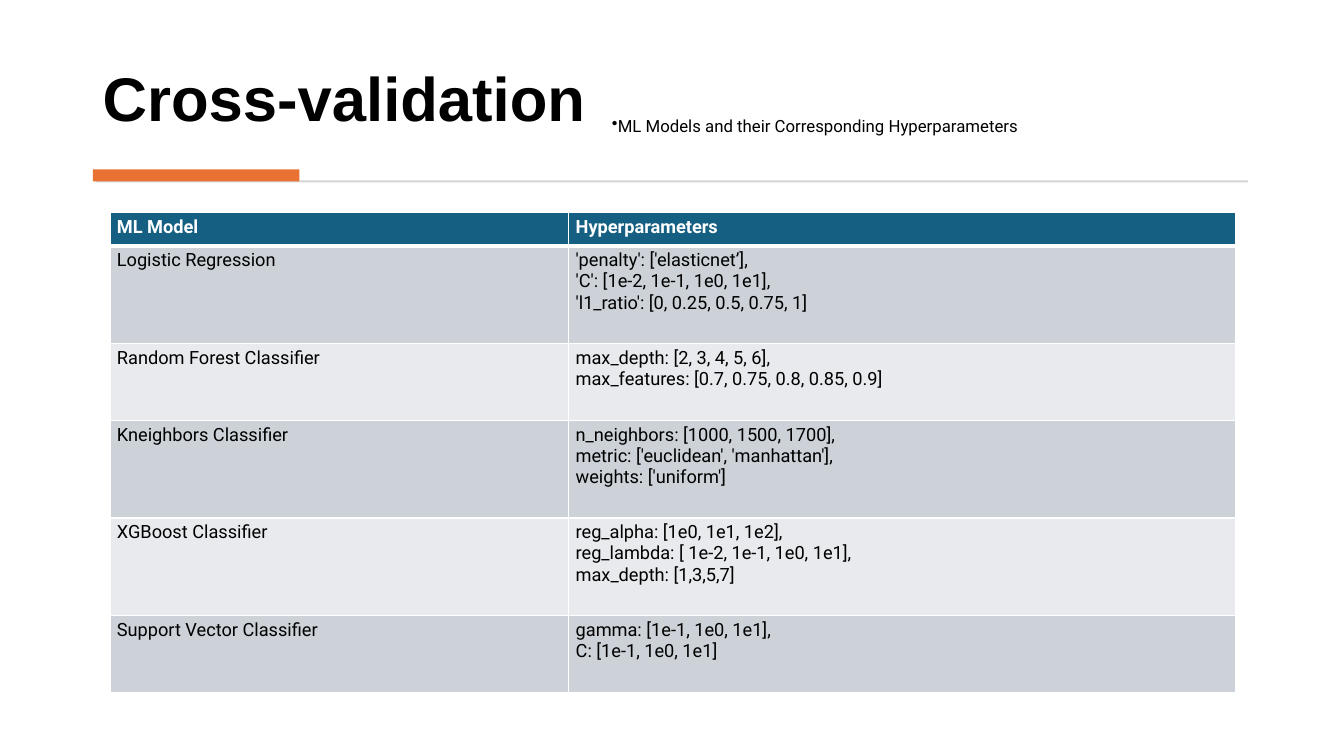
import dataclasses

import pptx
import pptx.dml.color
import pptx.enum.shapes
import pptx.enum.text
import pptx.oxml
import pptx.oxml.ns
import pptx.util

Inches = pptx.util.Inches

COLOURS = {
    "ink": "000000",
    "paper": "FFFFFF",
    "rule": "D5D5D5",
    "accent": "E97132",
    "header": "156082",
    "band_dark": "CCD2D8",
    "band_light": "E8EAED",
}


@dataclasses.dataclass(frozen=True)
class Box:
    left: float
    top: float
    width: float
    height: float

    def lengths(self) -> tuple:
        return tuple(Inches(v) for v in dataclasses.astuple(self))


@dataclasses.dataclass(frozen=True)
class Font:
    name: str
    size: float
    colour: str = "ink"
    bold: bool = False


@dataclasses.dataclass(frozen=True)
class Model:
    name: str
    hyperparameters: tuple[str, ...]
    height: float


TITLE_FONT = Font("Arial", 44, bold=True)
SUBTITLE_FONT = Font("Roboto", 12)
HEADER_FONT = Font("Roboto", 13, "paper", True)
BODY_FONT = Font("Roboto", 13)

BARS = (
    (Box(0.95, 1.79, 11.43, 0.02), "rule"),
    (Box(0.92, 1.68, 2.05, 0.12), "accent"),
)

TABLE_BOX = Box(1.09, 2.11, 11.16, 4.76)
COLUMN_WIDTHS = (4.55, 6.61)
TWO_LINES, THREE_LINES = 0.76, 0.97
ROWS = (
    Model("ML Model", ("Hyperparameters",), 0.33),
    Model("Logistic Regression",
          ("'penalty': ['elasticnet’],", "'C': [1e-2, 1e-1, 1e0, 1e1],",
           "'l1_ratio': [0, 0.25, 0.5, 0.75, 1]"), THREE_LINES),
    Model("Random Forest Classifier",
          ("max_depth: [2, 3, 4, 5, 6],",
           "max_features: [0.7, 0.75, 0.8, 0.85, 0.9]"), TWO_LINES),
    Model("Kneighbors Classifier",
          ("n_neighbors: [1000, 1500, 1700],",
           "metric: ['euclidean', 'manhattan'],",
           "weights: ['uniform']"), THREE_LINES),
    Model("XGBoost Classifier",
          ("reg_alpha: [1e0, 1e1, 1e2],",
           "reg_lambda: [ 1e-2, 1e-1, 1e0, 1e1],",
           "max_depth: [1,3,5,7]"), THREE_LINES),
    Model("Support Vector Classifier",
          ("gamma: [1e-1, 1e0, 1e1],", "C: [1e-1, 1e0, 1e1]"), TWO_LINES),
)


def paint(fill, colour: str) -> None:
    fill.solid()
    fill.fore_color.rgb = pptx.dml.color.RGBColor.from_string(COLOURS[colour])


def write(frame, text: str, font: Font) -> None:
    frame.text = text
    for para in frame.paragraphs:
        for span in para.runs:
            span.font.name = font.name
            span.font.size = pptx.util.Pt(font.size)
            span.font.bold = font.bold
            span.font.color.rgb = pptx.dml.color.RGBColor.from_string(
                COLOURS[font.colour])


def add_text(page, box: Box, text: str, font: Font):
    frame = page.shapes.add_textbox(*box.lengths()).text_frame
    frame.word_wrap = True
    write(frame, text, font)
    return frame


def add_bar(page, box: Box, colour: str) -> None:
    bar = page.shapes.add_shape(
        pptx.enum.shapes.MSO_SHAPE.RECTANGLE, *box.lengths())
    bar.shadow.inherit = False
    bar.line.fill.background()
    paint(bar.fill, colour)


def add_bullet(para) -> None:
    properties = para._p.get_or_add_pPr()
    properties.set("marL", "0")
    properties.set("indent", str(-Inches(0.25)))
    bullet = pptx.oxml.parse_xml(
        f'<a:buChar {pptx.oxml.ns.nsdecls("a")} char="•"/>')
    properties.append(bullet)


def set_borders(cell, top: float, bottom: float) -> None:
    """Draw white borders; top and bottom widths are in points."""
    properties = cell._tc.get_or_add_tcPr()
    widths = {"lnL": 1, "lnR": 1, "lnT": top, "lnB": bottom}
    for place, (side, width) in enumerate(widths.items()):
        properties.insert(place, pptx.oxml.parse_xml(
            f'<a:{side} {pptx.oxml.ns.nsdecls("a")} w="{pptx.util.Pt(width)}">'
            f'<a:solidFill><a:srgbClr val="{COLOURS["paper"]}"/></a:solidFill>'
            f'</a:{side}>'))


def add_model_table(page) -> None:
    table = page.shapes.add_table(
        len(ROWS), len(COLUMN_WIDTHS), *TABLE_BOX.lengths()).table
    for column, width in zip(table.columns, COLUMN_WIDTHS):
        column.width = Inches(width)
    for index, model in enumerate(ROWS):
        table.rows[index].height = Inches(model.height)
        if index == 0:
            fill, font = "header", HEADER_FONT
        else:
            fill = "band_dark" if index % 2 else "band_light"
            font = BODY_FONT
        texts = (model.name, "\n".join(model.hyperparameters))
        for cell, text in zip(table.rows[index].cells, texts):
            cell.margin_left = cell.margin_right = Inches(0.07)
            cell.margin_top = cell.margin_bottom = Inches(0.04)
            write(cell.text_frame, text, font)
            paint(cell.fill, fill)
            set_borders(cell, top=3 if index == 1 else 1,
                        bottom=3 if index == 0 else 1)


def main() -> None:
    deck = pptx.Presentation()
    deck.slide_width, deck.slide_height = Inches(13.33), Inches(7.5)
    page = deck.slides.add_slide(deck.slide_layouts[6])

    title = add_text(page, Box(0.92, 0.28, 11.49, 1.11),
                     "Cross-validation", TITLE_FONT)
    title.vertical_anchor = pptx.enum.text.MSO_ANCHOR.BOTTOM
    title.paragraphs[0].line_spacing = 0.9

    for box, colour in BARS:
        add_bar(page, box, colour)
    add_model_table(page)

    subtitle = add_text(page, Box(5.97, 1.1, 6.92, 0.71),
                        "ML Models and their Corresponding Hyperparameters",
                        SUBTITLE_FONT)
    add_bullet(subtitle.paragraphs[0])
    deck.save("out.pptx")


if __name__ == "__main__":
    main()
